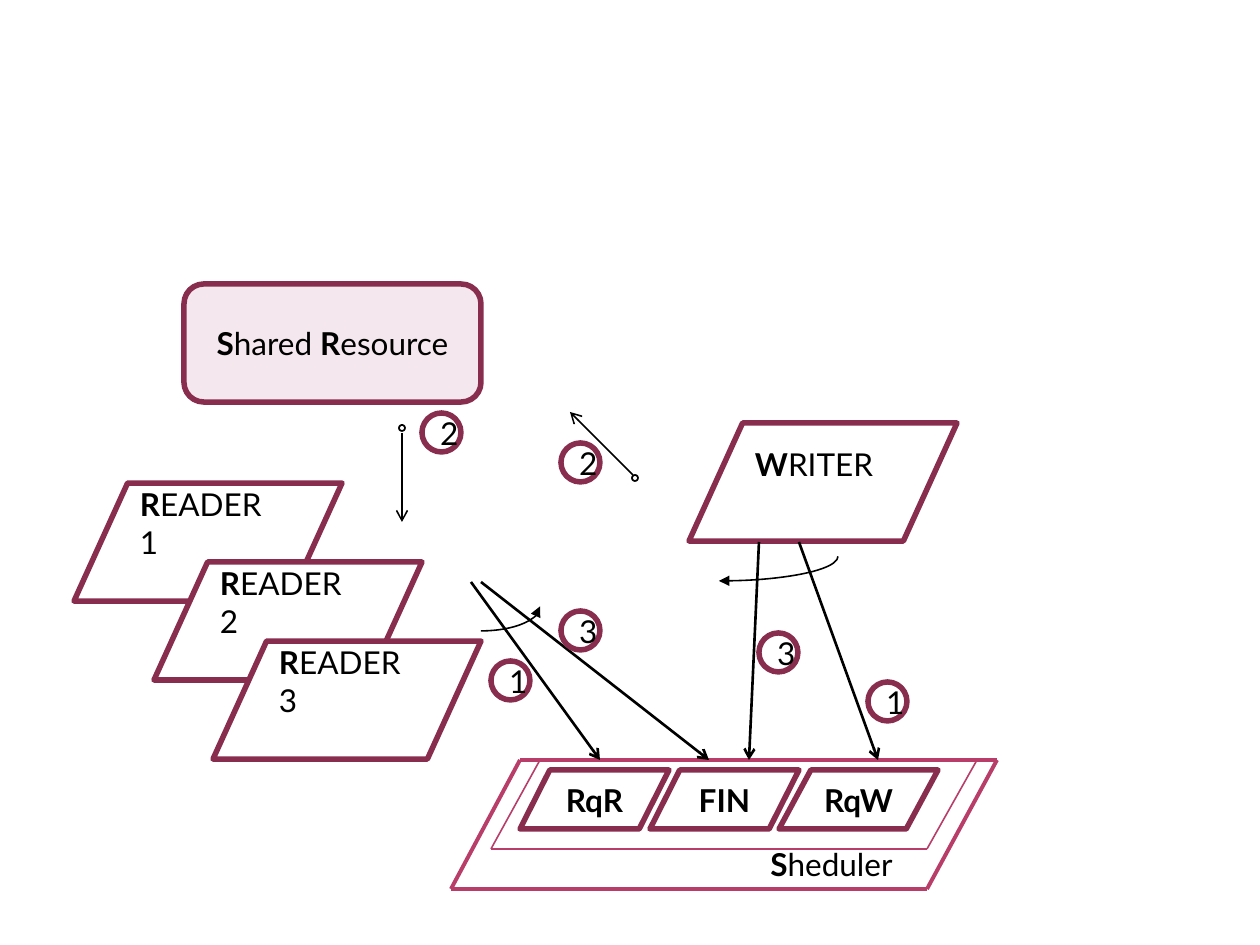
import pptx
import pptx.dml.color
import pptx.enum.shapes
import pptx.enum.text
import pptx.oxml
import pptx.oxml.ns
import pptx.util

RGB = pptx.dml.color.RGBColor
SHAPE = pptx.enum.shapes.MSO_SHAPE
ALIGN = pptx.enum.text.PP_ALIGN
ANCHOR = pptx.enum.text.MSO_ANCHOR

PLUM = RGB(0x88, 0x2D, 0x4D)
ROSE = RGB(0xB8, 0x3D, 0x68)
BLUSH = RGB(0xF4, 0xE7, 0xED)
BLACK = RGB(0, 0, 0)
WHITE = RGB(255, 255, 255)

THICK, MEDIUM, FLOW, THIN = 3.15, 2.25, 1.5, 0.9


def px(n):
    """Turn pixels into EMU."""
    return round(n * 914400 / 126)


class Diagram:
    """Style and current slide, with a method for each kind of element."""

    font = "Lato"
    size = 18

    def __init__(self, slide):
        """Keep the slide to draw on."""
        self.slide = slide

    def set_text(self, tf, text, align):
        """Fill a text frame; parts between asterisks are bold."""
        p = tf.paragraphs[0]
        p.alignment = align
        p.font.name = self.font
        p.font.size = pptx.util.Pt(self.size)
        p.font.color.rgb = BLACK
        for i, part in enumerate(text.split("*")):
            if part:
                r = p.add_run()
                r.text = part
                r.font.bold = i % 2 == 1

    def arrowhead(self, sp, end, kind):
        """Put an arrowhead on one end ("head" or "tail") of a line."""
        ln = sp.line._get_or_add_ln()
        tag = pptx.oxml.ns.qn(f"a:{end}End")
        ln.append(ln.makeelement(tag, {"type": kind}))

    def shape(self, kind, x, y, w, h, fill=None, color=PLUM, width=THICK):
        """Draw a preset shape without text."""
        sp = self.slide.shapes.add_shape(kind, px(x), px(y), px(w), px(h))
        sp.shadow.inherit = False
        if fill is None:
            sp.fill.background()
        else:
            sp.fill.solid()
            sp.fill.fore_color.rgb = fill
        sp.line.color.rgb = color
        sp.line.width = pptx.util.Pt(width)
        return sp

    def box(self, kind, x, y, w, h, text, fill=None):
        """Draw a preset shape with centred text."""
        sp = self.shape(kind, x, y, w, h, fill)
        sp.text_frame.vertical_anchor = ANCHOR.MIDDLE
        self.set_text(sp.text_frame, text, ALIGN.CENTER)

    def process(self, x, y, text, top, fill=WHITE):
        """Draw a process with its name starting below the top edge."""
        sp = self.shape(SHAPE.FLOWCHART_DATA, x, y, 268, 118, fill)
        tf = sp.text_frame
        tf.vertical_anchor = ANCHOR.TOP
        tf.margin_top = px(top)
        tf.margin_bottom = 0
        self.set_text(tf, text, ALIGN.LEFT)

    def label(self, x, y, w, h, text):
        """Add free text on one line."""
        tf = self.slide.shapes.add_textbox(px(x), px(y), px(w), px(h)).text_frame
        tf.word_wrap = False
        tf.auto_size = pptx.enum.text.MSO_AUTO_SIZE.SHAPE_TO_FIT_TEXT
        self.set_text(tf, text, ALIGN.LEFT)

    def line(self, x1, y1, x2, y2, color, width, arrow=False):
        """Draw a straight line, with an open arrowhead if asked."""
        cn = self.slide.shapes.add_connector(
            pptx.enum.shapes.MSO_CONNECTOR.STRAIGHT, px(x1), px(y1), px(x2), px(y2))
        cn.line.color.rgb = color
        cn.line.width = pptx.util.Pt(width)
        if arrow:
            self.arrowhead(cn, "tail", "arrow")
        pr = cn._element.spPr
        pr.append(pr.makeelement(pptx.oxml.ns.qn("a:effectLst"), {}))

    def curve(self, x, y, w, h, end):
        """Draw a lower right quarter arc with a filled arrowhead."""
        sp = self.shape(SHAPE.ARC, x, y, w, h, color=BLACK, width=THIN)
        sp._element.spPr.xfrm.set("flipV", "1")
        self.arrowhead(sp, end, "triangle")


def main():
    """Build the readers and writer diagram."""
    prs = pptx.Presentation()
    prs.slide_width = pptx.util.Inches(10)
    prs.slide_height = pptx.util.Inches(7.5)
    d = Diagram(prs.slides.add_slide(prs.slide_layouts[6]))

    d.process(74, 483, "*R*EADER 1", 2, fill=None)
    d.box(SHAPE.ROUNDED_RECTANGLE, 184, 284, 297, 118,
          "*S*hared *R*esource", BLUSH)
    d.process(154, 562, "*R*EADER 2", 2)
    d.process(213, 641, "*R*EADER 3", 2)
    d.process(689, 423, "*W*RITER", 22)

    for x, w, name in ((520, 149, "RqR"), (650, 149, "FIN"), (779, 159, "RqW")):
        d.box(SHAPE.FLOWCHART_DATA, x, 770, w, 59, f"*{name}*", WHITE)

    outer = [(451, 889), (927, 889), (997, 760), (520, 760), (451, 889)]
    inner = [(540, 760), (491, 849), (927, 849), (977, 760)]
    for points, width in ((outer, MEDIUM), (inner, THIN)):
        for start, end in zip(points, points[1:]):
            d.line(*start, *end, ROSE, width)
    d.label(758, 839, 150, 50, "*S*heduler")

    for ends in ((471, 582, 600, 760), (481, 582, 709, 760),
                 (759, 542, 749, 760), (799, 542, 878, 760)):
        d.line(*ends, BLACK, FLOW, arrow=True)
    d.curve(422, 582, 118, 49, "tail")
    d.curve(600, 532, 238, 49, "head")

    for ends in ((402, 433, 402, 522), (633, 475, 570, 412)):
        d.line(*ends, BLACK, THIN, arrow=True)
    for x, y in ((399, 425), (632, 475)):
        d.shape(SHAPE.OVAL, x, y, 6, 6, color=BLACK, width=1)

    for x, y, step in ((491, 661, 1), (422, 413, 2), (561, 611, 3),
                       (561, 443, 2), (868, 682, 1), (759, 633, 3)):
        d.box(SHAPE.OVAL, x, y, 39, 39, str(step))

    prs.save("out.pptx")


main()
